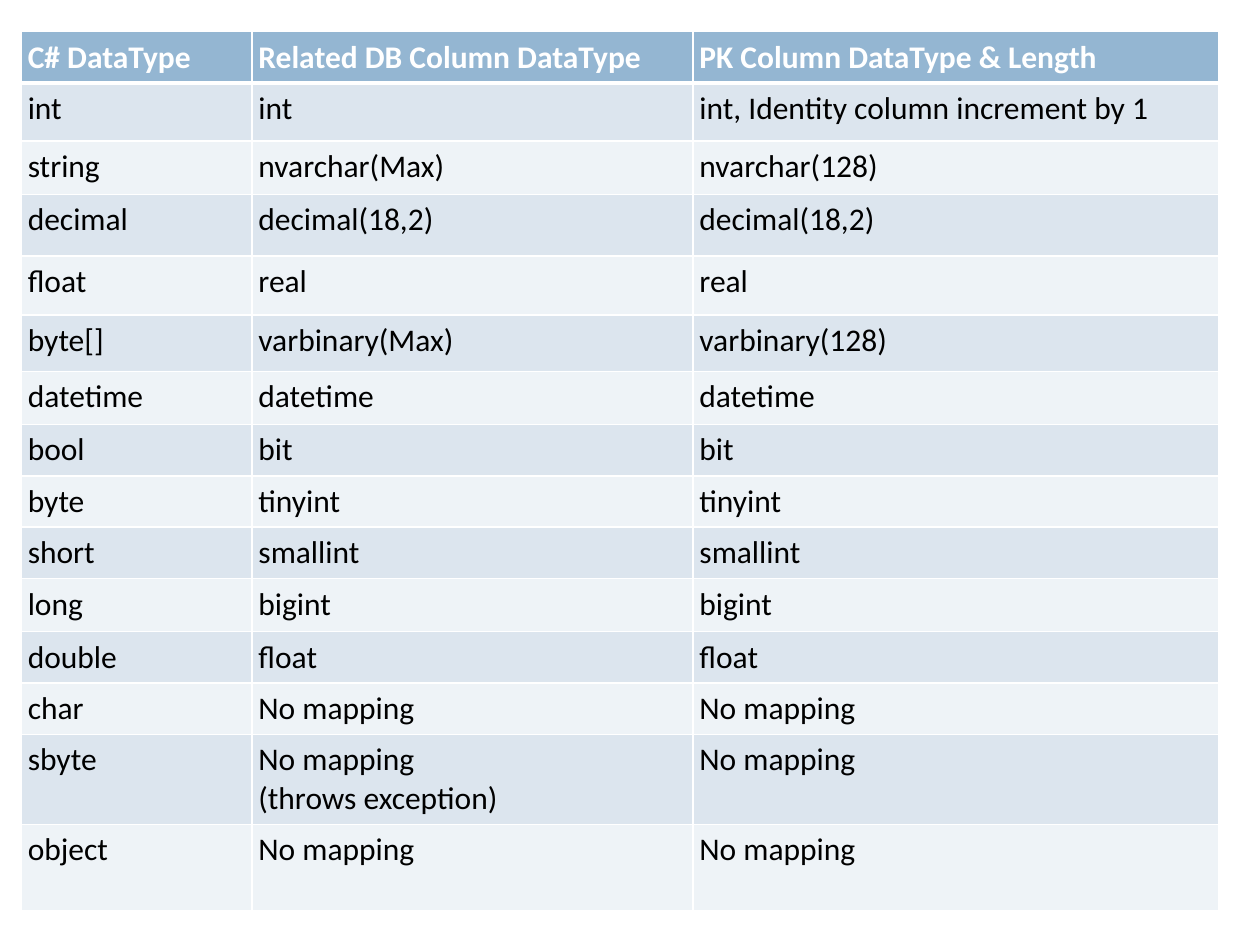
"""Build a slide with a table that maps C# data types to database column types."""
import pptx
import pptx.dml.color
import pptx.oxml.ns
import pptx.util
import lxml.etree

COLORS = {"header": "94B6D2", "odd": "DCE5EE", "even": "EEF3F7", "border": "FFFFFF",
          "header_text": "FFFFFF", "body_text": "000000"}
COLUMN_WIDTHS = [4.65, 8.89, 10.59]
ROWS = [
    (0.84, "C# DataType", "Related DB Column DataType", "PK Column DataType & Length"),
    (1.17, "int", "int", "int, Identity column increment by 1"),
    (1.07, "string", "nvarchar(Max)", "nvarchar(128)"),
    (1.24, "decimal", "decimal(18,2)", "decimal(18,2)"),
    (1.19, "float", "real", "real"),
    (1.14, "byte[]", "varbinary(Max)", "varbinary(128)"),
    (1.07, "datetime", "datetime", "datetime"),
    (1.02, "bool", "bit", "bit"),
    (0.97, "byte", "tinyint", "tinyint"),
    (0.91, "short", "smallint", "smallint"),
    (1.07, "long", "bigint", "bigint"),
    (1.02, "double", "float", "float"),
    (0.97, "char", "No mapping", "No mapping"),
    (1.75, "sbyte", "No mapping\n(throws exception)", "No mapping"),
    (1.75, "object", "No mapping", "No mapping"),
]
MARGINS = {f"margin_{side}": pptx.util.Cm(0.13) for side in ("left", "top", "right", "bottom")}


def add_border(cell, side, points):
    properties = cell._tc.get_or_add_tcPr()
    line = lxml.etree.SubElement(properties, pptx.oxml.ns.qn(f"a:ln{side}"),
                                 w=str(pptx.util.Pt(points)))
    fill = lxml.etree.SubElement(line, pptx.oxml.ns.qn("a:solidFill"))
    lxml.etree.SubElement(fill, pptx.oxml.ns.qn("a:srgbClr"), val=COLORS["border"])


presentation = pptx.Presentation()
presentation.slide_width = pptx.util.Cm(25.4)
presentation.slide_height = pptx.util.Cm(19.05)
slide = presentation.slides.add_slide(presentation.slide_layouts[6])

table = slide.shapes.add_table(
    len(ROWS), len(COLUMN_WIDTHS), pptx.util.Cm(0.43), pptx.util.Cm(0.64),
    pptx.util.Cm(sum(COLUMN_WIDTHS)), pptx.util.Cm(sum(row[0] for row in ROWS))).table
for column, width in zip(table.columns, COLUMN_WIDTHS):
    column.width = pptx.util.Cm(width)

for row_index, (height, *texts) in enumerate(ROWS):
    table.rows[row_index].height = pptx.util.Cm(height)
    is_header = row_index == 0
    fill_name = "header" if is_header else ("even", "odd")[row_index % 2]
    text_name = "header_text" if is_header else "body_text"
    font_format = {"name": "Calibri", "size": pptx.util.Pt(18), "bold": is_header}
    border_widths = {"L": 1, "R": 1, "T": 3 if row_index == 1 else 1, "B": 3 if is_header else 1}
    for column_index, text in enumerate(texts):
        cell = table.cell(row_index, column_index)
        for name, value in MARGINS.items():
            setattr(cell, name, value)
        for side, points in border_widths.items():
            add_border(cell, side, points)
        cell.fill.solid()
        cell.fill.fore_color.rgb = pptx.dml.color.RGBColor.from_string(COLORS[fill_name])
        paragraph = cell.text_frame.paragraphs[0]
        paragraph.text = text.replace("\n", "\v")
        for run in paragraph.runs:
            for name, value in font_format.items():
                setattr(run.font, name, value)
            run.font.color.rgb = pptx.dml.color.RGBColor.from_string(COLORS[text_name])

presentation.save("out.pptx")
